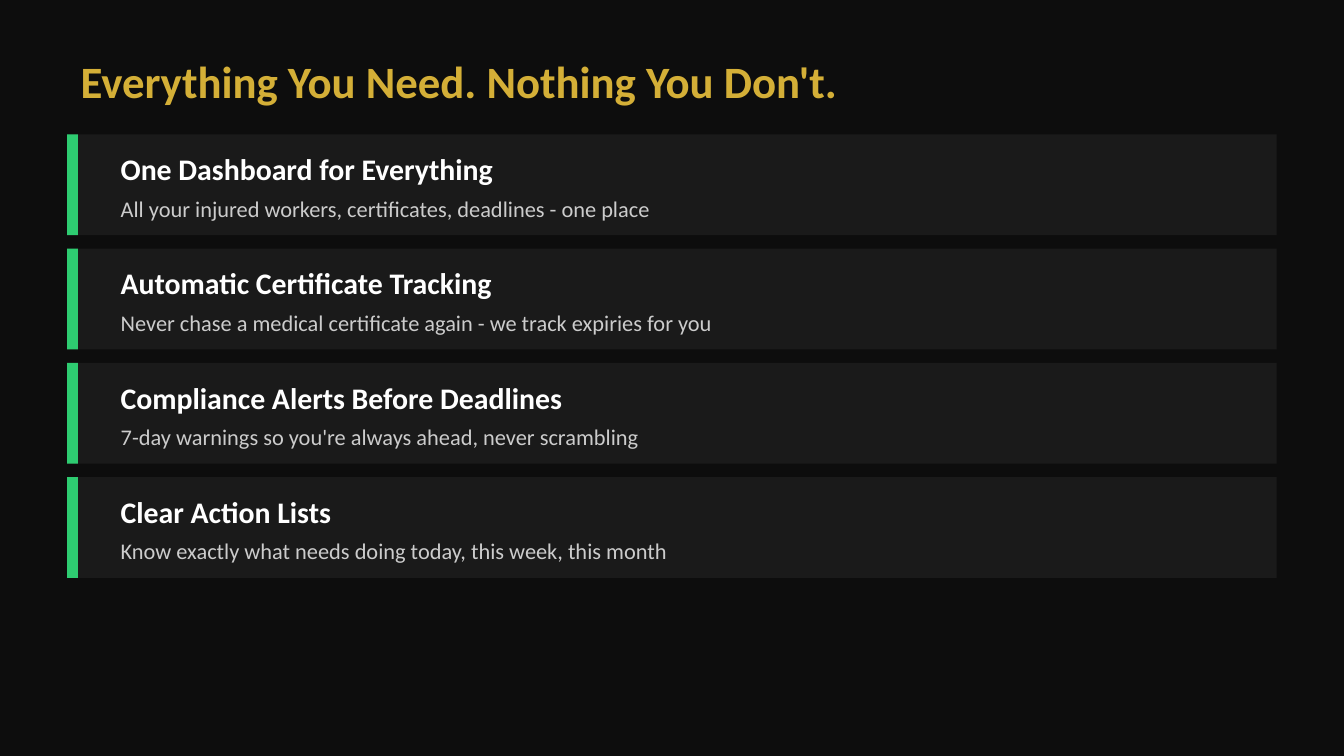
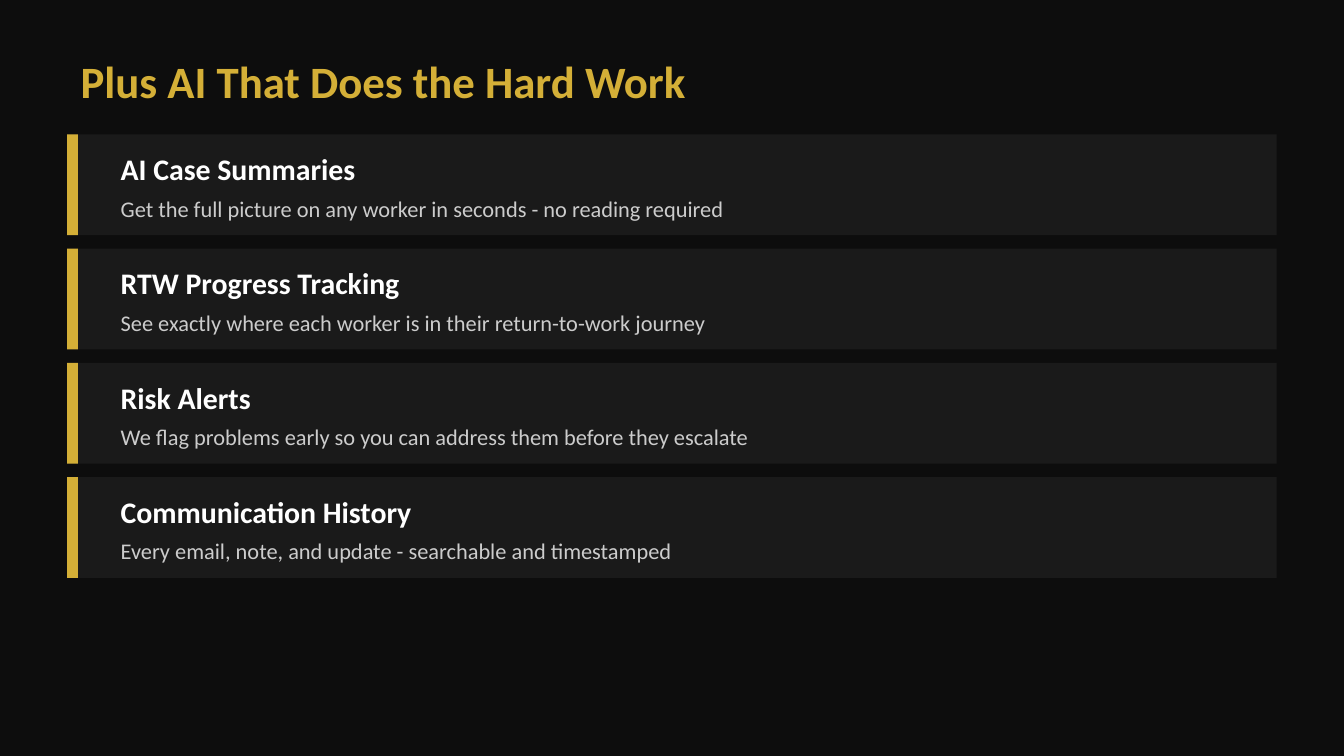
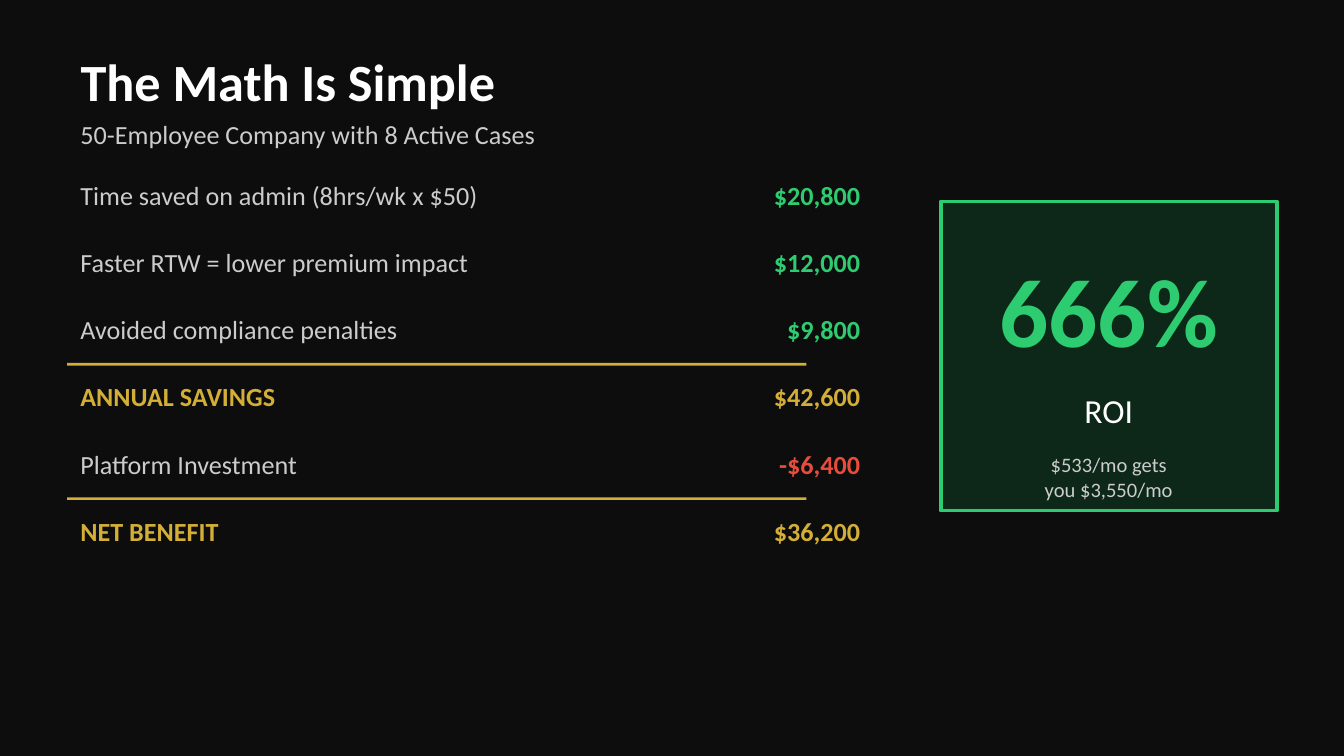
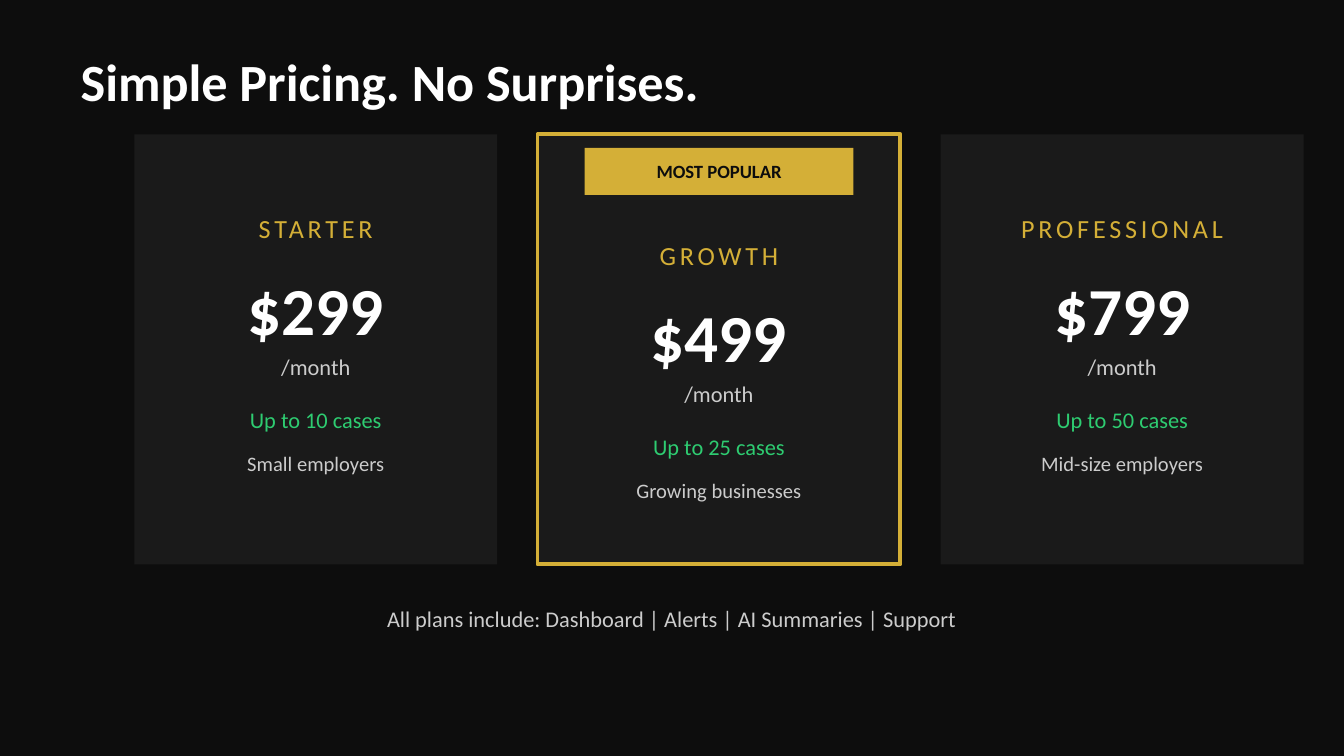
from dataclasses import dataclass

from pptx import Presentation
from pptx.dml.color import RGBColor
from pptx.enum.shapes import MSO_SHAPE
from pptx.enum.text import MSO_ANCHOR, MSO_AUTO_SIZE, PP_ALIGN
from pptx.util import Inches, Pt

LEFT, CENTER, RIGHT = PP_ALIGN.LEFT, PP_ALIGN.CENTER, PP_ALIGN.RIGHT
TITLE_ONLY = 5


@dataclass(frozen=True)
class Theme:
    font = "Calibri"
    background = "0D0D0D"
    panel = "1A1A1A"
    panel_green = "0D2818"
    gold = "D4AF37"
    green = "2ECC71"
    red = "E74C3C"
    white = "FFFFFF"
    gray = "CCCCCC"
    hero = 52
    price = 36
    title = 28
    feature_title = 24
    roi_label = 18
    heading = 16
    body = 14
    detail = 12
    small = 11
    badge = 10
    outline = 2
    letter_spacing = 2


class Deck:
    """Theme and current slide; boxes are (column, row, columns, rows) on a ten-column square grid."""

    COLUMNS = 10

    def __init__(self, theme):
        self.theme = theme
        self.presentation = Presentation()
        self.presentation.slide_width = Inches(10)
        self.presentation.slide_height = self.presentation.slide_width * 9 // 16
        self.cell = self.presentation.slide_width / self.COLUMNS
        self.slide = None
        self.paint(self.presentation.slide_master.background.fill, theme.background)

    @staticmethod
    def paint(fill, color):
        fill.solid()
        fill.fore_color.rgb = RGBColor.from_string(color)

    def place(self, box):
        return [round(length * self.cell) for length in box]

    def set_text(self, frame, text, size, color, bold=False, align=LEFT, spacing=None):
        frame_format = {
            "text": text,
            "word_wrap": True,
            "auto_size": MSO_AUTO_SIZE.NONE,
            "vertical_anchor": MSO_ANCHOR.MIDDLE,
        }
        for name, value in frame_format.items():
            setattr(frame, name, value)
        font_format = {"name": self.theme.font, "size": Pt(size), "bold": bold}
        for paragraph in frame.paragraphs:
            paragraph.alignment = align
            for run in paragraph.runs:
                for name, value in font_format.items():
                    setattr(run.font, name, value)
                run.font.color.rgb = RGBColor.from_string(color)
                if spacing:
                    run._r.get_or_add_rPr().set("spc", str(spacing * 100))

    def add_slide(self, title, size, color, columns=9):
        layout = self.presentation.slide_layouts[TITLE_ONLY]
        self.slide = self.presentation.slides.add_slide(layout)
        shape = self.slide.shapes.title
        position = self.place((0.5, 0.3, columns, 0.6))
        for name, value in zip(("left", "top", "width", "height"), position):
            setattr(shape, name, value)
        self.set_text(shape.text_frame, title, size, color, bold=True)

    def text(self, box, text, size, color, **options):
        shape = self.slide.shapes.add_textbox(*self.place(box))
        self.set_text(shape.text_frame, text, size, color, **options)

    def panel(self, box, color, outline=None):
        shape = self.slide.shapes.add_shape(MSO_SHAPE.RECTANGLE, *self.place(box))
        shape.shadow.inherit = False
        self.paint(shape.fill, color)
        if outline:
            self.paint(shape.line.fill, outline)
            shape.line.width = Pt(self.theme.outline)
        else:
            shape.line.fill.background()

    def feature(self, row, accent, heading, detail):
        theme = self.theme
        self.panel((0.5, row, 9, 0.75), theme.panel)
        self.panel((0.5, row, 0.08, 0.75), accent)
        self.text((0.8, row + 0.08, 8.5, 0.35), heading, theme.heading, theme.white, bold=True)
        self.text((0.8, row + 0.4, 8.5, 0.3), detail, theme.detail, theme.gray)

    def ledger_row(self, row, label, amount, amount_color, is_total):
        theme = self.theme
        if is_total:
            self.panel((0.5, row - 0.05, 5.5, 0.02), theme.gold)
        label_color = theme.gold if is_total else theme.gray
        self.text((0.5, row, 4.5, 0.4), label, theme.body, label_color, bold=is_total)
        self.text((5, row, 1.5, 0.4), amount, theme.body, amount_color, bold=True, align=RIGHT)

    def plan(self, column, name, price, cases, audience, badge=None):
        theme = self.theme
        self.panel((column, 1, 2.7, 3.2), theme.panel, theme.gold if badge else None)
        top = 1.5
        if badge:
            top += 0.2
            self.panel((column + 0.35, 1.1, 2, 0.35), theme.gold)
            self.text((column + 0.35, 1.12, 2, 0.3), badge, theme.badge, theme.background,
                      bold=True, align=CENTER)
        lines = [
            (0, 0.4, name, theme.body, theme.gold, {"spacing": theme.letter_spacing}),
            (0.45, 0.7, price, theme.price, theme.white, {"bold": True}),
            (1.05, 0.35, "/month", theme.detail, theme.gray, {}),
            (1.45, 0.35, cases, theme.detail, theme.green, {}),
            (1.8, 0.3, audience, theme.small, theme.gray, {}),
        ]
        for offset, rows, text, size, color, options in lines:
            self.text((column, top + offset, 2.7, rows), text, size, color, align=CENTER, **options)


def build_features(deck, title, accent, features):
    deck.add_slide(title, deck.theme.feature_title, deck.theme.gold, columns=7)
    for index, (heading, detail) in enumerate(features):
        deck.feature(1 + index * 0.85, accent, heading, detail)


def build_savings(deck):
    theme = deck.theme
    deck.add_slide("The Math Is Simple", theme.title, theme.white)
    deck.text((0.5, 0.85, 9, 0.3), "50-Employee Company with 8 Active Cases", theme.body, theme.gray)
    ledger = [
        ("Time saved on admin (8hrs/wk x $50)", "$20,800", theme.green, False),
        ("Faster RTW = lower premium impact", "$12,000", theme.green, False),
        ("Avoided compliance penalties", "$9,800", theme.green, False),
        ("ANNUAL SAVINGS", "$42,600", theme.gold, True),
        ("Platform Investment", "-$6,400", theme.red, False),
        ("NET BENEFIT", "$36,200", theme.gold, True),
    ]
    for index, entry in enumerate(ledger):
        deck.ledger_row(1.25 + index * 0.5, *entry)

    deck.panel((7, 1.5, 2.5, 2.3), theme.panel_green, theme.green)
    deck.text((7, 1.8, 2.5, 1), "666%", theme.hero, theme.green, bold=True, align=CENTER)
    deck.text((7, 2.85, 2.5, 0.4), "ROI", theme.roi_label, theme.white, align=CENTER)
    deck.text((7, 3.3, 2.5, 0.5), "$533/mo gets\nyou $3,550/mo", theme.small, theme.gray, align=CENTER)


def build_pricing(deck):
    theme = deck.theme
    deck.add_slide("Simple Pricing. No Surprises.", theme.title, theme.white)
    plans = [
        ("STARTER", "$299", "Up to 10 cases", "Small employers"),
        ("GROWTH", "$499", "Up to 25 cases", "Growing businesses", "MOST POPULAR"),
        ("PROFESSIONAL", "$799", "Up to 50 cases", "Mid-size employers"),
    ]
    for index, plan in enumerate(plans):
        deck.plan(1 + index * 3, *plan)
    deck.text((0.5, 4.4, 9, 0.4), "All plans include: Dashboard | Alerts | AI Summaries | Support",
              theme.detail, theme.gray, align=CENTER)


def main():
    deck = Deck(Theme())
    build_features(deck, "Everything You Need. Nothing You Don't.", deck.theme.green, [
        ("One Dashboard for Everything", "All your injured workers, certificates, deadlines - one place"),
        ("Automatic Certificate Tracking", "Never chase a medical certificate again - we track expiries for you"),
        ("Compliance Alerts Before Deadlines", "7-day warnings so you're always ahead, never scrambling"),
        ("Clear Action Lists", "Know exactly what needs doing today, this week, this month"),
    ])
    build_features(deck, "Plus AI That Does the Hard Work", deck.theme.gold, [
        ("AI Case Summaries", "Get the full picture on any worker in seconds - no reading required"),
        ("RTW Progress Tracking", "See exactly where each worker is in their return-to-work journey"),
        ("Risk Alerts", "We flag problems early so you can address them before they escalate"),
        ("Communication History", "Every email, note, and update - searchable and timestamped"),
    ])
    build_savings(deck)
    build_pricing(deck)
    deck.presentation.save("out.pptx")


if __name__ == "__main__":
    main()
